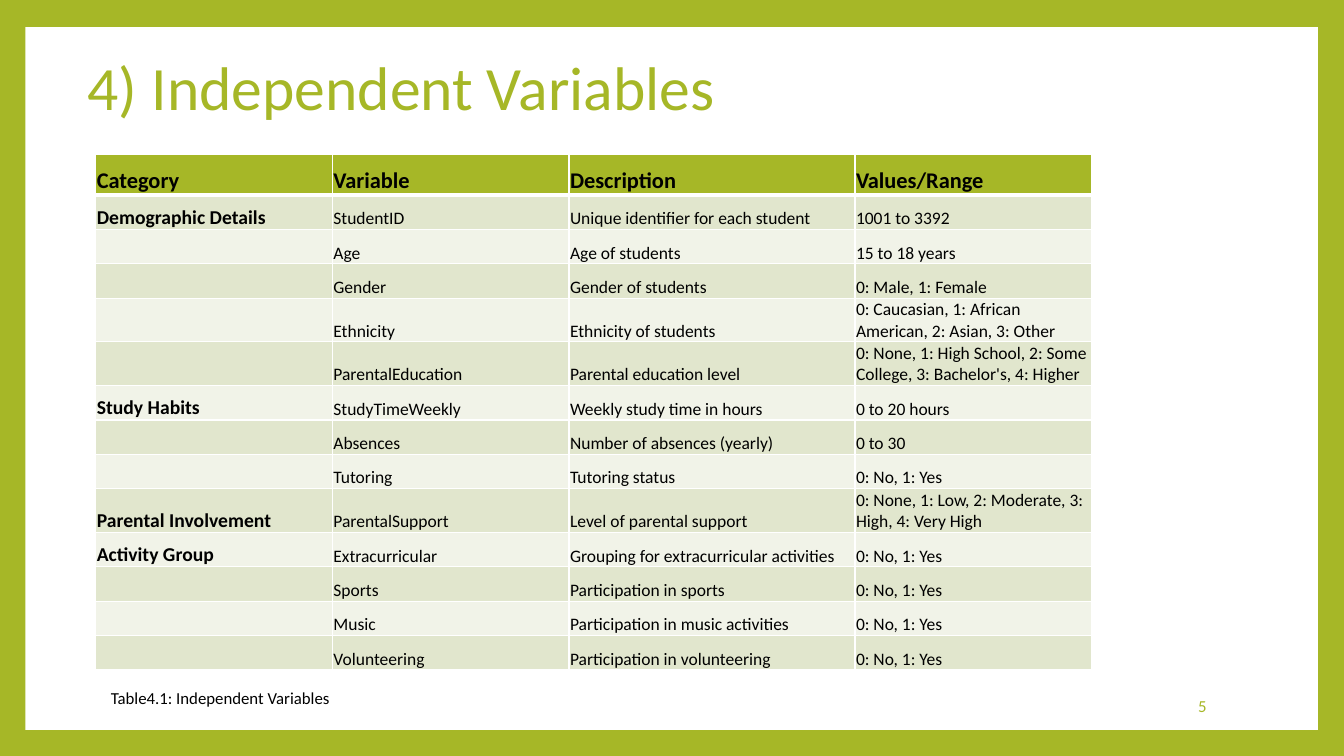
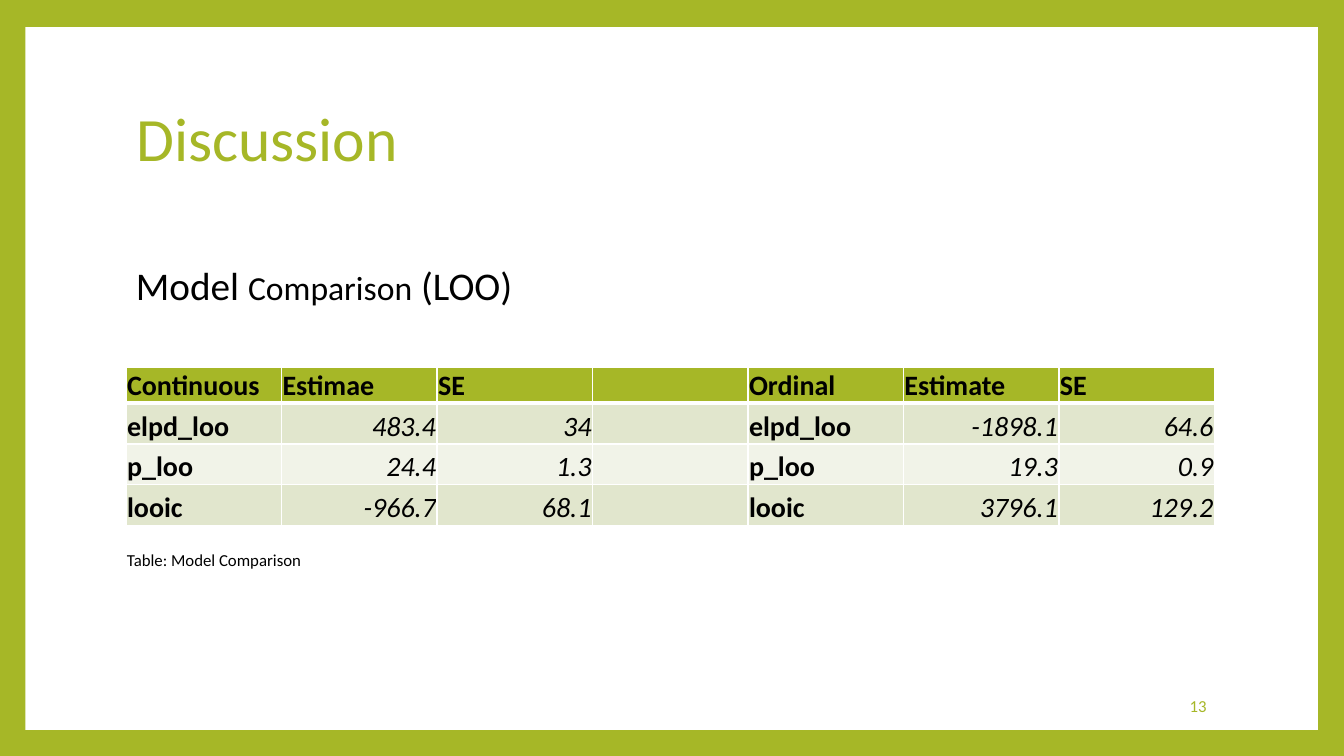
from dataclasses import dataclass

from lxml.etree import SubElement
from pptx import Presentation
from pptx.dml.color import RGBColor
from pptx.enum.shapes import MSO_SHAPE
from pptx.enum.text import MSO_ANCHOR as Anchor, MSO_AUTO_SIZE as AutoSize, PP_ALIGN as Align
from pptx.oxml.ns import qn
from pptx.util import Inches, Pt

WIDTH, HEIGHT = Inches(13.33), Inches(7.5)
FONT = "Calibri"
GREEN, WHITE, BLACK = "A6B727", "FFFFFF", "000000"
BANDS = ("E1E6CD", "F1F3E8")
TITLE_ONLY = 5
YES_NO = "0: No, 1: Yes"


@dataclass(frozen=True)
class Frame:
    """A place on the slide, in percent of its width and height."""
    left: float
    top: float
    width: float
    height: float

    def box(self) -> tuple[int, int, int, int]:
        return (across(self.left), down(self.top), across(self.width), down(self.height))


@dataclass(frozen=True)
class TextStyle:
    size: float
    color: str = BLACK
    bold: bool = False
    italic: bool = False
    align: Align = Align.LEFT
    anchor: Anchor = Anchor.TOP
    line_spacing: float = 1.0
    indent: float = 0


@dataclass(frozen=True)
class Column:
    share: float
    style: TextStyle


@dataclass(frozen=True)
class TableSpec:
    left: float
    top: float
    width: float
    header_height: float
    row_height: float
    header_style: TextStyle
    columns: list[Column]
    rows: list[tuple[str, ...]]


TITLE = TextStyle(44, GREEN, anchor=Anchor.MIDDLE, line_spacing=0.9)
CAPTION = TextStyle(12, line_spacing=0.9, indent=0.05)
HEADING = TextStyle(28)
PAGE_NUMBER = TextStyle(12, GREEN, align=Align.RIGHT, anchor=Anchor.MIDDLE)

PANEL_FRAME = Frame(1.88, 3.6, 96.18, 92.95)
PAGE_NUMBER_FRAME = Frame(76.5, 90.7, 14.03, 5.33)

CATEGORY = TextStyle(14, bold=True)
DETAIL = TextStyle(12.5)
VARIABLES = TableSpec(
    7.13, 20.4, 74.1, 5.4, 4.55, TextStyle(16, bold=True),
    [Column(2.35, CATEGORY), Column(2.35, DETAIL), Column(2.84, DETAIL), Column(2.35, DETAIL)],
    [
        ("Category", "Variable", "Description", "Values/Range"),
        ("Demographic Details", "StudentID", "Unique identifier for each student", "1001 to 3392"),
        ("", "Age", "Age of students", "15 to 18 years"),
        ("", "Gender", "Gender of students", "0: Male, 1: Female"),
        ("", "Ethnicity", "Ethnicity of students",
         "0: Caucasian, 1: African American, 2: Asian, 3: Other"),
        ("", "ParentalEducation", "Parental education level",
         "0: None, 1: High School, 2: Some College, 3: Bachelor's, 4: Higher"),
        ("Study Habits", "StudyTimeWeekly", "Weekly study time in hours", "0 to 20 hours"),
        ("", "Absences", "Number of absences (yearly)", "0 to 30"),
        ("", "Tutoring", "Tutoring status", YES_NO),
        ("Parental Involvement", "ParentalSupport", "Level of parental support",
         "0: None, 1: Low, 2: Moderate, 3: High, 4: Very High"),
        ("Activity Group", "Extracurricular", "Grouping for extracurricular activities", YES_NO),
        ("", "Sports", "Participation in sports", YES_NO),
        ("", "Music", "Participation in music activities", YES_NO),
        ("", "Volunteering", "Participation in volunteering", YES_NO),
    ],
)

LABEL = TextStyle(20, bold=True)
NUMBER = TextStyle(20, italic=True, align=Align.RIGHT)
MODEL_COLUMNS = [Column(1, LABEL), Column(1, NUMBER), Column(1, NUMBER)]
COMPARISON = TableSpec(
    9.38, 48.6, 81, 4.75, 5.38, LABEL,
    [*MODEL_COLUMNS, Column(1, LABEL), *MODEL_COLUMNS],
    [
        ("Continuous", "Estimae", "SE", "", "Ordinal", "Estimate", "SE"),
        ("elpd_loo", "483.4", "34", "", "elpd_loo", "-1898.1", "64.6"),
        ("p_loo", "24.4", "1.3", "", "p_loo", "19.3", "0.9"),
        ("looic", "-966.7", "68.1", "", "looic", "3796.1", "129.2"),
    ],
)


def across(percent: float) -> int:
    return round(WIDTH * percent / 100)


def down(percent: float) -> int:
    return round(HEIGHT * percent / 100)


def rgb(color: str) -> RGBColor:
    return RGBColor.from_string(color)


def paint(fill, color: str) -> None:
    fill.solid()
    fill.fore_color.rgb = rgb(color)


def write(text_frame, style: TextStyle, *parts: tuple[str, float]) -> None:
    """Fill the first paragraph with runs, each given as text and size."""
    paragraph = text_frame.paragraphs[0]
    paragraph.alignment = style.align
    paragraph.line_spacing = style.line_spacing
    if style.indent:
        paragraph_properties = paragraph._p.get_or_add_pPr()
        paragraph_properties.set("marL", str(Inches(style.indent)))
        paragraph_properties.set("indent", "0")
    for text, size in parts:
        run = paragraph.add_run()
        run.text = text
        font_format = {"name": FONT, "size": Pt(size), "bold": style.bold, "italic": style.italic}
        for name, value in font_format.items():
            setattr(run.font, name, value)
        run.font.color.rgb = rgb(style.color)


def format_frame(text_frame, style: TextStyle) -> None:
    frame_format = {"word_wrap": True, "auto_size": AutoSize.NONE, "vertical_anchor": style.anchor}
    for name, value in frame_format.items():
        setattr(text_frame, name, value)


def add_text(slide, frame: Frame, style: TextStyle, *parts: tuple[str, float]) -> None:
    text_frame = slide.shapes.add_textbox(*frame.box()).text_frame
    format_frame(text_frame, style)
    write(text_frame, style, *parts)


def add_border(cell, side: str, points: float) -> None:
    line = SubElement(cell._tc.get_or_add_tcPr(), qn(f"a:ln{side}"), w=str(Pt(points)))
    SubElement(SubElement(line, qn("a:solidFill")), qn("a:srgbClr"), val=WHITE)


def format_cell(cell, row: int, text: str, style: TextStyle) -> None:
    cell_format = {
        "margin_left": Inches(0.01), "margin_right": Inches(0.01),
        "margin_top": Inches(0.01), "margin_bottom": 0,
        "vertical_anchor": Anchor.BOTTOM,
    }
    for name, value in cell_format.items():
        setattr(cell, name, value)
    borders = {"L": 1, "R": 1, "T": 3 if row == 1 else 1, "B": 3 if row == 0 else 1}
    for side, points in borders.items():
        add_border(cell, side, points)
    paint(cell.fill, BANDS[(row - 1) % 2] if row else GREEN)
    if text:
        write(cell.text_frame, style, (text, style.size))


def add_table(slide, spec: TableSpec) -> None:
    body_height = spec.row_height * (len(spec.rows) - 1)
    frame = Frame(spec.left, spec.top, spec.width, spec.header_height + body_height)
    table = slide.shapes.add_table(len(spec.rows), len(spec.columns), *frame.box()).table
    table.first_row = table.horz_banding = False
    total_share = sum(column.share for column in spec.columns)
    for table_column, column in zip(table.columns, spec.columns):
        table_column.width = across(spec.width * column.share / total_share)
    for row, texts in enumerate(spec.rows):
        table.rows[row].height = down(spec.row_height if row else spec.header_height)
        for index, (text, column) in enumerate(zip(texts, spec.columns)):
            style = column.style if row else spec.header_style
            format_cell(table.cell(row, index), row, text, style)


def add_panel(slide) -> None:
    """Put the white panel behind everything else on the slide."""
    panel = slide.shapes.add_shape(MSO_SHAPE.RECTANGLE, *PANEL_FRAME.box())
    panel.shadow.inherit = False
    paint(panel.fill, WHITE)
    panel.line.fill.background()
    slide.shapes.element.insert(2, panel.element)


def add_slide(presentation, title: str, title_frame: Frame, number: int):
    slide = presentation.slides.add_slide(presentation.slide_layouts[TITLE_ONLY])
    add_panel(slide)
    shape = slide.shapes.title
    shape.left, shape.top, shape.width, shape.height = title_frame.box()
    format_frame(shape.text_frame, TITLE)
    write(shape.text_frame, TITLE, (title, TITLE.size))
    add_text(slide, PAGE_NUMBER_FRAME, PAGE_NUMBER, (str(number), PAGE_NUMBER.size))
    return slide


def build_variables(presentation) -> None:
    slide = add_slide(presentation, "4) Independent Variables", Frame(5.78, 9.95, 70.5, 4), 5)
    add_table(slide, VARIABLES)
    add_text(slide, Frame(7.13, 90.67, 35.25, 8.4), CAPTION,
             ("Table4.1: Independent Variables", CAPTION.size))


def build_discussion(presentation) -> None:
    slide = add_slide(presentation, "Discussion", Frame(9.38, 8.85, 81, 19.73), 13)
    add_text(slide, Frame(9.38, 33.9, 50, 7.6), HEADING,
             ("Model ", HEADING.size), ("Comparison", 24), (" (LOO)", HEADING.size))
    add_table(slide, COMPARISON)
    add_text(slide, Frame(8.33, 72.35, 35.25, 8.4), CAPTION,
             ("Table: Model Comparison", CAPTION.size))


def main() -> None:
    presentation = Presentation()
    presentation.slide_width, presentation.slide_height = WIDTH, HEIGHT
    paint(presentation.slide_master.background.fill, GREEN)
    build_variables(presentation)
    build_discussion(presentation)
    presentation.save("out.pptx")


if __name__ == "__main__":
    main()
